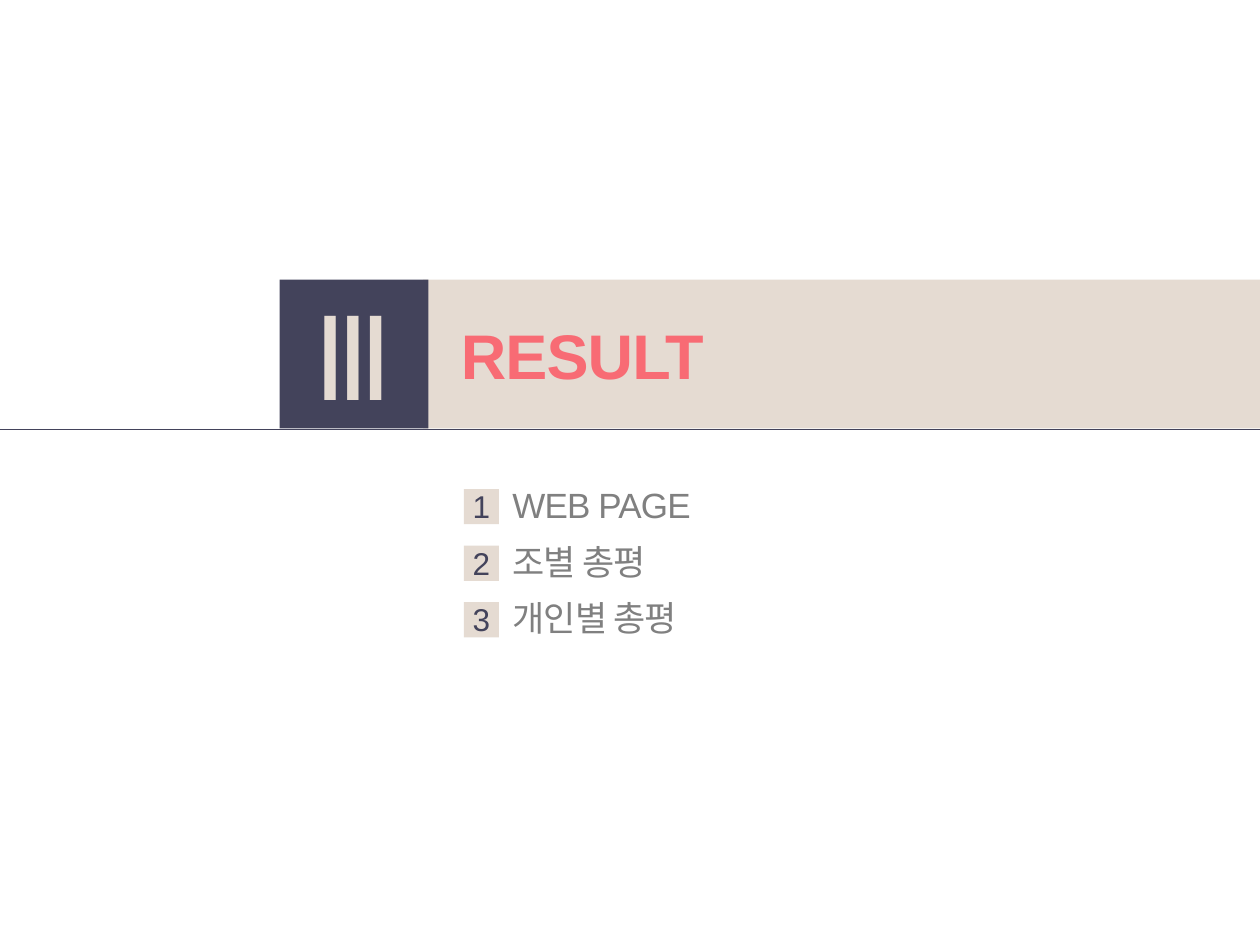
"""Build the section divider slide for the results chapter."""
from pptx import Presentation
from pptx.dml.color import RGBColor
from pptx.enum.shapes import MSO_CONNECTOR, MSO_SHAPE
from pptx.enum.text import MSO_ANCHOR, MSO_AUTO_SIZE, PP_ALIGN
from pptx.oxml.ns import qn
from pptx.util import Cm, Pt
from lxml import etree

RECTANGLE = MSO_SHAPE.RECTANGLE
STRAIGHT = MSO_CONNECTOR.STRAIGHT
MIDDLE, TOP = MSO_ANCHOR.MIDDLE, MSO_ANCHOR.TOP
CENTER, LEFT = PP_ALIGN.CENTER, PP_ALIGN.LEFT
GROW, FIXED = MSO_AUTO_SIZE.SHAPE_TO_FIT_TEXT, MSO_AUTO_SIZE.NONE

NUMERAL = "Ⅲ"
TITLE = "RESULT"
TOPICS = ["WEB PAGE", "조별 총평", "개인별 총평"]

COLORS = {"navy": "43435B", "sand": "E5DBD2", "coral": "F86B74", "gray": "808080"}
FONT = "Arial"
LETTER_SPACING = "-50"

WIDTH, HEIGHT = 25.4, 19.05
BAND_TOP, BAND_SIZE = 5.64, 3
BAND_LEFT = 8.53
RULE_Y = 8.66
BADGE_LEFT, BADGE_TOP, BADGE_SIZE = 9.35, 9.86, 0.71
TOPIC_LEFT, TOPIC_RISE, TOPIC_WIDTH, TOPIC_HEIGHT = 10.08, 0.23, 9.98, 1.12
ROW_PITCH = 1.14

TIGHT = {"margin_left": Cm(0.1), "margin_right": Cm(0.1), "margin_top": Cm(0.1),
         "margin_bottom": Cm(0.13), "vertical_anchor": MIDDLE,
         "word_wrap": False, "auto_size": FIXED}
TITLE_FRAME = {"vertical_anchor": MIDDLE, "word_wrap": False, "auto_size": FIXED}
TOPIC_FRAME = {"vertical_anchor": TOP, "word_wrap": True, "auto_size": GROW}
CENTERED = {"alignment": CENTER, "space_after": Pt(10)}
LISTED = {"alignment": LEFT, "space_after": Pt(10)}
HEADING = {"alignment": LEFT, "line_spacing": 0.9}


def apply(target, values):
    for name, value in values.items():
        setattr(target, name, value)


def rgb(color):
    return RGBColor.from_string(COLORS[color])


def add_block(slide, box, color):
    block = slide.shapes.add_shape(RECTANGLE, *map(Cm, box))
    block.shadow.inherit = False
    block.fill.solid()
    block.fill.fore_color.rgb = rgb(color)
    block.line.fill.background()
    return block


def write(holder, words, size, color, frame_format, paragraph_format, bold=False):
    frame = holder.text_frame
    apply(frame, frame_format)
    paragraph = frame.paragraphs[0]
    apply(paragraph, paragraph_format)
    run = paragraph.add_run()
    run.text = words
    apply(run.font, {"name": FONT, "size": Pt(size), "bold": bold})
    run.font.color.rgb = rgb(color)
    run.font._element.set("spc", LETTER_SPACING)


def add_label(slide, box, *text_format, **options):
    write(slide.shapes.add_textbox(*map(Cm, box)), *text_format, **options)


def add_rule(slide):
    rule = slide.shapes.add_connector(STRAIGHT, 0, Cm(RULE_Y), Cm(WIDTH), Cm(RULE_Y))
    rule.line.color.rgb = rgb("navy")
    rule.line.width = Pt(0.5)
    etree.SubElement(rule._element.spPr, qn("a:effectLst"))


def main():
    deck = Presentation()
    deck.slide_width, deck.slide_height = Cm(WIDTH), Cm(HEIGHT)
    slide = deck.slides.add_slide(deck.slide_layouts[6])

    add_rule(slide)
    add_block(slide, (BAND_LEFT, BAND_TOP, WIDTH - BAND_LEFT, BAND_SIZE), "sand")
    add_block(slide, (BAND_TOP, BAND_TOP, BAND_SIZE, BAND_SIZE), "navy")
    add_label(slide, (9.04, 5.79, 16.1, 2.9), TITLE, 36, "coral",
              TITLE_FRAME, HEADING, bold=True)
    add_label(slide, (5.82, 6.07, 2.62, 2.16), NUMERAL, 66, "sand", TIGHT, CENTERED)

    for row, topic in enumerate(TOPICS):
        top = BADGE_TOP + row * ROW_PITCH
        add_label(slide, (TOPIC_LEFT, top - TOPIC_RISE, TOPIC_WIDTH, TOPIC_HEIGHT),
                  topic, 20, "gray", TOPIC_FRAME, LISTED)
        badge = add_block(slide, (BADGE_LEFT, top, BADGE_SIZE, BADGE_SIZE), "sand")
        write(badge, str(row + 1), 18, "navy", TIGHT, CENTERED)

    deck.save("out.pptx")


if __name__ == "__main__":
    main()
